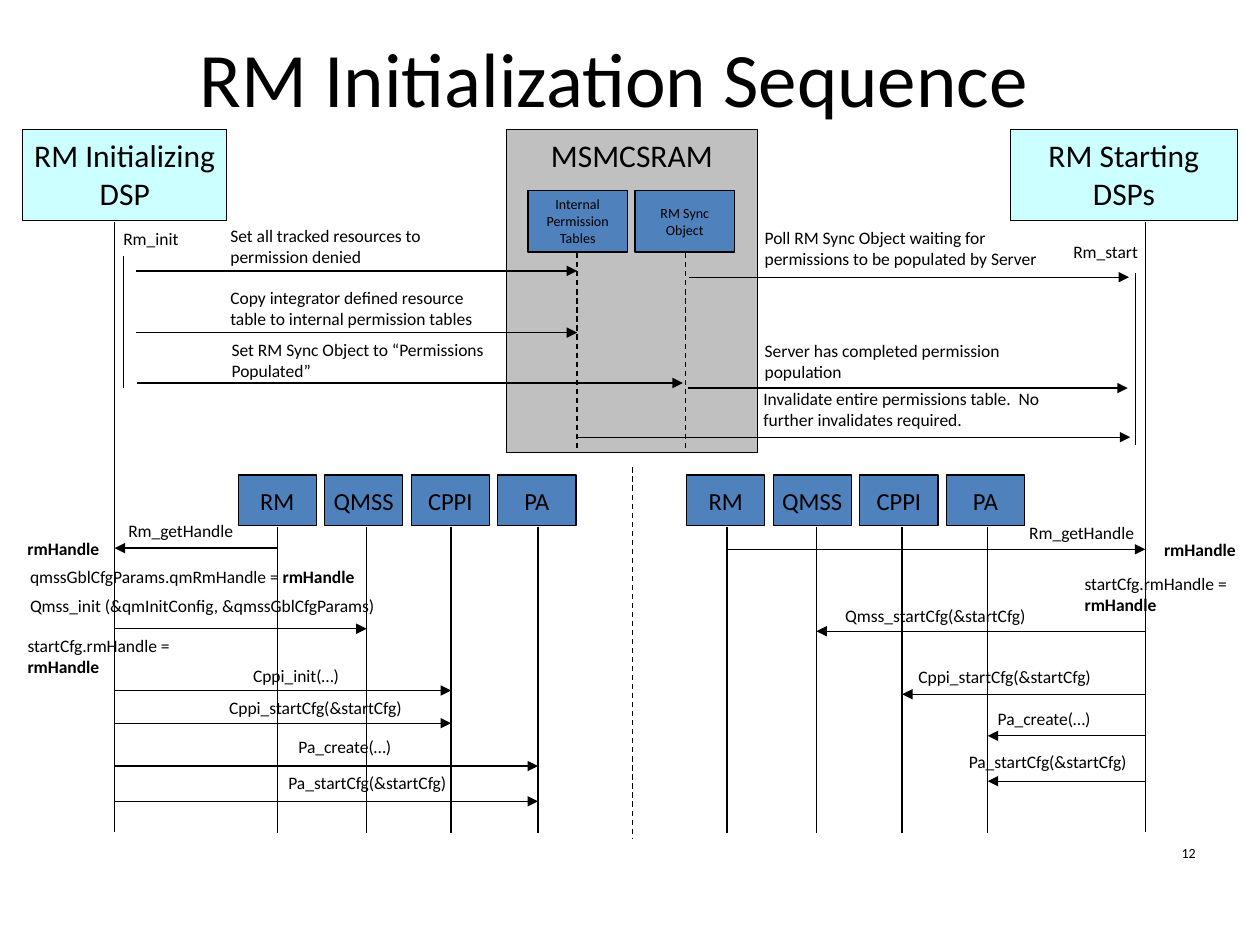
from pptx import Presentation
from pptx.dml.color import RGBColor
from pptx.enum.dml import MSO_LINE
from pptx.enum.shapes import MSO_CONNECTOR, MSO_SHAPE
from pptx.enum.text import MSO_ANCHOR, PP_ALIGN
from pptx.oxml.ns import qn
from pptx.util import Inches, Pt
from lxml.etree import SubElement

BLACK = RGBColor(0x00, 0x00, 0x00)
CYAN = RGBColor(0xCC, 0xFF, 0xFF)
GRAY = RGBColor(0xC0, 0xC0, 0xC0)
BLUE = RGBColor(0x4F, 0x81, 0xBD)

WIDTH, HEIGHT = Inches(10), Inches(7.5)
COLUMNS, ROWS = 100, 75

LEFT_DSP, RIGHT_DSP = 9.1, 90.9
TABLES, SYNC = 45.8, 54.4
LIFELINES = {"RM": 22, "QMSS": 29.1, "CPPI": 35.8, "PA": 42.7}
START_LIFELINES = {"RM": 57.7, "QMSS": 64.8, "CPPI": 71.6, "PA": 78.4}

SETUP_ARROWS = [
    (10.8, TABLES, 21.5), (10.8, TABLES, 26.4), (10.9, SYNC - 0.2, 30.4),
    (SYNC + 0.3, 89.6, 22), (SYNC + 0.2, 89.5, 30.8), (TABLES, 89.7, 34.7),
]
INIT_CALLS = [("QMSS", 49.9), ("CPPI", 54.8), ("CPPI", 57.4), ("PA", 60.8), ("PA", 63.6)]
START_CALLS = [("QMSS", 50.1), ("CPPI", 55.1), ("PA", 58.4), ("PA", 62)]

LABELS = [
    (8.8, 17.6, 7.2, "Rm_init"),
    (17.3, 17.4, 23.1, "Set all tracked resources to permission denied"),
    (17.3, 22.3, 23.1, "Copy integrator defined resource table to internal permission tables"),
    (17.4, 26.4, 23.1, "Set RM Sync Object to “Permissions Populated”"),
    (84.2, 18.6, 8.3, "Rm_start"),
    (59.7, 17.5, 26.2, "Poll RM Sync Object waiting for permissions to be populated by Server"),
    (59.7, 26.5, 26.2, "Server has completed permission population"),
    (59.6, 30.3, 26.2, "Invalidate entire permissions table.  No further invalidates required."),
    (9.2, 40.8, 11.7, "Rm_getHandle"),
    (80.7, 40.9, 11.7, "Rm_getHandle"),
    (1.2, 42.2, 8.6, "|rmHandle"),
    (91.4, 42.3, 8.6, "|rmHandle"),
    (1.4, 44.4, 32.6, "qmssGblCfgParams.qmRmHandle = |rmHandle\n"
                      "Qmss_init (&qmInitConfig, &qmssGblCfgParams)"),
    (1.2, 49.9, 18.9, "startCfg.rmHandle = |rmHandle"),
    (85.1, 45, 14.9, "startCfg.rmHandle = |rmHandle"),
    (19.1, 52.3, 9.9, "Cppi_init(…)"),
    (17.2, 54.8, 18.5, "Cppi_startCfg(&startCfg)"),
    (22.7, 57.9, 17.5, "Pa_create(…)"),
    (21.9, 60.8, 17.5, "Pa_startCfg(&startCfg)"),
    (66.1, 47.5, 19.8, "Qmss_startCfg(&startCfg)"),
    (71.9, 52.4, 17.5, "Cppi_startCfg(&startCfg)"),
    (78.2, 55.7, 17.5, "Pa_create(…)"),
    (75.9, 59.1, 17.5, "Pa_startCfg(&startCfg)"),
]


def x(column):
    return round(WIDTH * column / COLUMNS)


def y(row):
    return round(HEIGHT * row / ROWS)


def write(tf, text, size=10, align=PP_ALIGN.LEFT, anchor=MSO_ANCHOR.TOP, wrap=True):
    tf.word_wrap = wrap
    tf.vertical_anchor = anchor
    for i, line in enumerate(text.split("\n")):
        p = tf.paragraphs[0]
        if i:
            p = tf.add_paragraph()
            if align == PP_ALIGN.LEFT:
                p.space_before = Pt(size / 2)
        p.alignment = align
        for j, part in enumerate(line.split("|")):
            if part:
                r = p.add_run()
                r.text = part
                r.font.name = "Calibri"
                r.font.size = Pt(size)
                r.font.bold = j % 2 == 1
                r.font.color.rgb = BLACK


def label(s, left, top, width, height, text, **fmt):
    sp = s.shapes.add_textbox(x(left), y(top), x(width), y(height))
    write(sp.text_frame, text, **fmt)


def box(s, left, top, width, height, fill, text, **fmt):
    sp = s.shapes.add_shape(MSO_SHAPE.RECTANGLE, x(left), y(top), x(width), y(height))
    sp.shadow.inherit = False
    sp.fill.solid()
    sp.fill.fore_color.rgb = fill
    sp.line.color.rgb = BLACK
    sp.line.width = Pt(0.75)
    write(sp.text_frame, text, align=PP_ALIGN.CENTER, **fmt)


def line(s, x1, y1, x2, y2, dashed=False, arrow=False):
    c = s.shapes.add_connector(MSO_CONNECTOR.STRAIGHT, x(x1), y(y1), x(x2), y(y2))
    c.line.color.rgb = BLACK
    c.line.width = Pt(0.75)
    if dashed:
        c.line.dash_style = MSO_LINE.DASH
    if arrow:
        SubElement(c.line._get_or_add_ln(), qn("a:tailEnd"), type="triangle")
    SubElement(c._element.spPr, qn("a:effectLst"))


def message(s, start, end, row):
    line(s, start, row, end, row, arrow=True)


def participants(s):
    box(s, 1.8, 10.3, 16.2, 7.2, CYAN, "RM Initializing\nDSP", size=18, wrap=False)
    box(s, 40.2, 10.3, 19.9, 25.6, GRAY, "MSMCSRAM", size=18, wrap=False)
    box(s, 80.2, 10.3, 18, 7.2, CYAN, "RM Starting\nDSPs", size=18, wrap=False)
    for left, text in ((41.9, "Internal Permission Tables"), (50.4, "RM Sync Object")):
        box(s, left, 15.1, 7.9, 4.9, BLUE, text, size=8, anchor=MSO_ANCHOR.MIDDLE)
    for column in (LEFT_DSP, RIGHT_DSP):
        line(s, column, 17.6, column, 66)
    for column, bottom in ((TABLES, 35.6), (SYNC, 35.9)):
        line(s, column, 20.1, column, bottom, dashed=True)
    line(s, 9.8, 20.3, 9.8, 30.8)
    line(s, 90.1, 21.7, 90.1, 35.3)
    line(s, 50.2, 37.1, 50.2, 66.5, dashed=True)


def drivers(s, left, lifelines):
    for i, (name, column) in enumerate(lifelines.items()):
        box(s, left + 6.87 * i, 37.7, 6.2, 4, BLUE, name, size=14,
            anchor=MSO_ANCHOR.MIDDLE, wrap=False)
        line(s, column, 41.8, column, 66.1)


def messages(s):
    for start, end, row in SETUP_ARROWS:
        message(s, start, end, row)
    message(s, LIFELINES["RM"], LEFT_DSP, 43.5)
    message(s, START_LIFELINES["RM"], RIGHT_DSP, 43.6)
    for name, row in INIT_CALLS:
        message(s, LEFT_DSP, LIFELINES[name], row)
    for name, row in START_CALLS:
        message(s, RIGHT_DSP, START_LIFELINES[name], row)


def main():
    prs = Presentation()
    prs.slide_width, prs.slide_height = WIDTH, HEIGHT
    s = prs.slides.add_slide(prs.slide_layouts[6])
    label(s, 2.5, 1.6, 92.5, 8.9, "RM Initialization Sequence", size=44,
          align=PP_ALIGN.CENTER, anchor=MSO_ANCHOR.MIDDLE)
    participants(s)
    drivers(s, 18.9, LIFELINES)
    drivers(s, 54.5, START_LIFELINES)
    messages(s)
    for left, top, width, text in LABELS:
        label(s, left, top, width, 2.7, text)
    label(s, 72.6, 66.5, 23.3, 2.3, "12", size=8, align=PP_ALIGN.RIGHT)
    prs.save("out.pptx")


if __name__ == "__main__":
    main()
